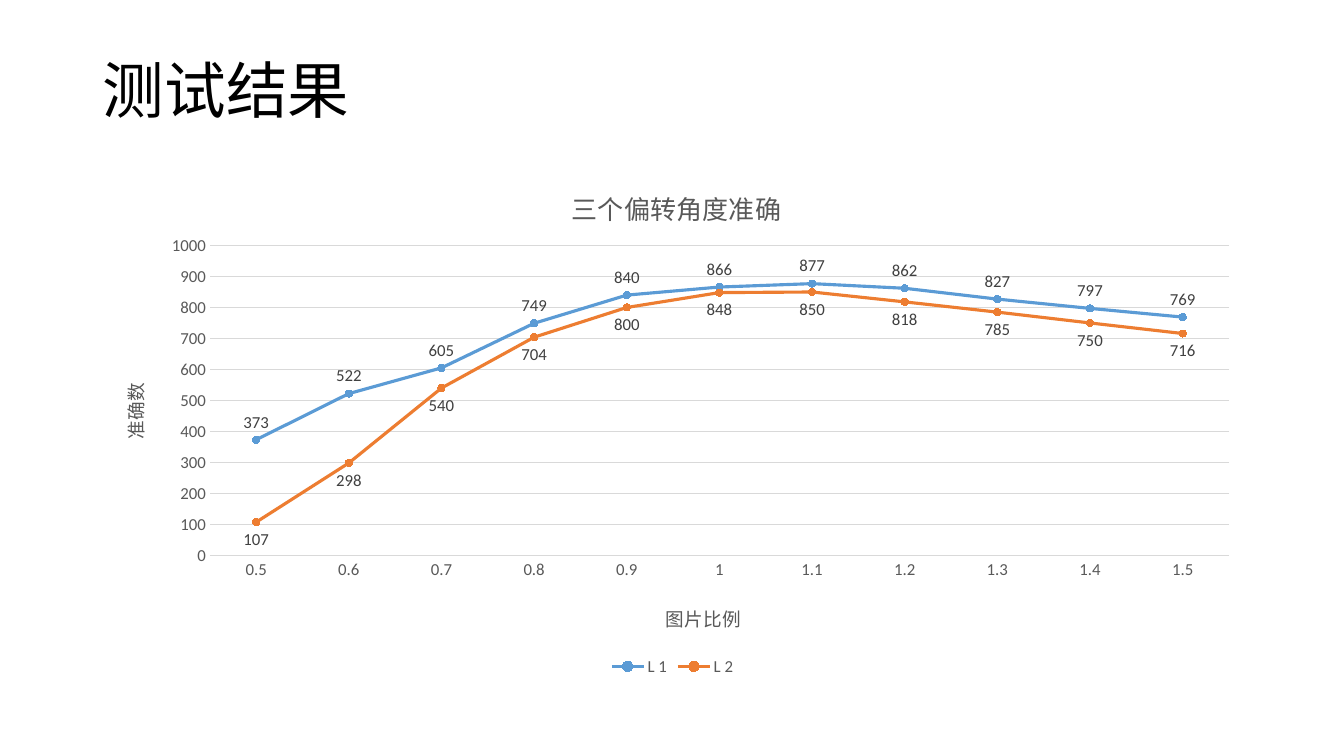
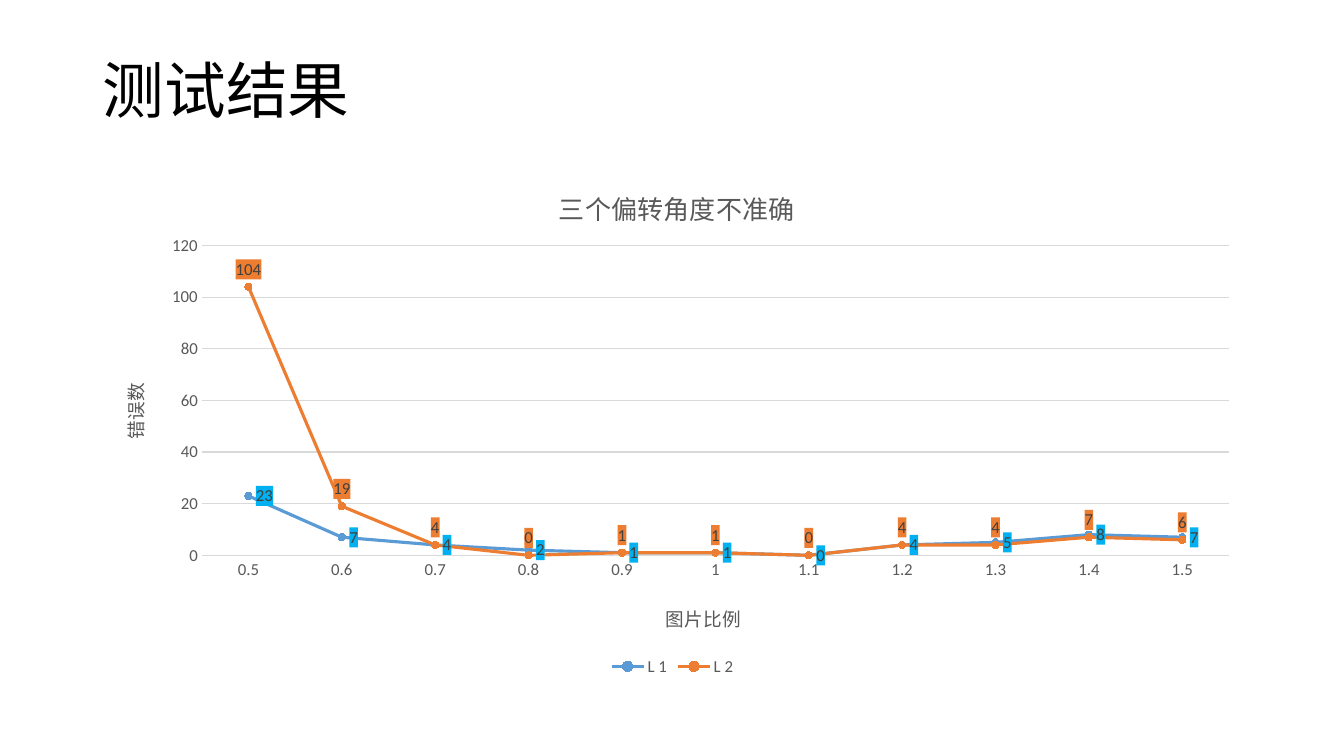
from lxml.etree import SubElement
from pptx import Presentation
from pptx.chart.data import CategoryChartData
from pptx.dml.color import RGBColor
from pptx.enum.chart import (XL_CHART_TYPE, XL_LABEL_POSITION, XL_LEGEND_POSITION,
                             XL_MARKER_STYLE, XL_TICK_MARK)
from pptx.enum.text import MSO_ANCHOR, PP_ALIGN
from pptx.oxml import parse_xml
from pptx.oxml.ns import nsdecls, qn
from pptx.util import Inches, Pt

FONT = "Calibri"
BLACK, GREY, DARK, GRID = "000000", "595959", "404040", "D9D9D9"
BLUE, ORANGE, CYAN = "5B9BD5", "ED7D31", "00B0F0"
TITLE_BOX = (0.92, 0.4, 11.5, 1.05)
CHART_BOX = (0.92, 1.54, 11.5, 5.21)
RATIOS = [f"{n / 10:g}" for n in range(5, 16)]


def rgb(color):
    """Turn a hex string into a colour."""
    return RGBColor.from_string(color)


def style_font(font, size, color):
    """Set typeface, size and colour."""
    font.name, font.size, font.bold = FONT, Pt(size), False
    font.color.rgb = rgb(color)


def set_layout(parent, **places):
    """Place a chart part by fractions of the chart area."""
    layout = parent.find(qn("c:layout"))
    if layout is None:
        layout = parse_xml(f"<c:layout {nsdecls('c')}/>")
        parent.insert(0, layout)
    manual = SubElement(layout, qn("c:manualLayout"))
    if "w" in places:
        SubElement(manual, qn("c:layoutTarget"), val="inner")
    for key in ("x", "y"):
        SubElement(manual, qn(f"c:{key}Mode"), val="edge")
    for key, value in places.items():
        SubElement(manual, qn(f"c:{key}"), val=str(value))


def add_title(s, text, box):
    """Fill the title placeholder."""
    title = s.shapes.title
    title.left, title.top, title.width, title.height = map(Inches, box)
    tf = title.text_frame
    tf.text, tf.vertical_anchor = text, MSO_ANCHOR.MIDDLE
    p = tf.paragraphs[0]
    p.alignment, p.line_spacing = PP_ALIGN.LEFT, 0.9
    style_font(p.font, 44, BLACK)


def set_chart_text(owner, holder, text, size, x, y):
    """Write and place a chart or axis title."""
    tf = holder.text_frame
    tf.text = text
    style_font(tf.paragraphs[0].runs[0].font, size, GREY)
    set_layout(owner.find(qn("c:title")), x=x, y=y)
    return tf


def style_axis(axis):
    """Give an axis its text style and no ticks."""
    style_font(axis.tick_labels.font, 12, GREY)
    axis.major_tick_mark = axis.minor_tick_mark = XL_TICK_MARK.NONE


def style_series(series, color, position, label_fill):
    """Format the line, markers and value labels of a series."""
    series.smooth = False
    series.format.line.color.rgb = rgb(color)
    series.format.line.width = Pt(2.25)
    marker = series.marker
    marker.style, marker.size = XL_MARKER_STYLE.CIRCLE, 5
    marker.format.fill.solid()
    marker.format.fill.fore_color.rgb = rgb(color)
    marker.format.line.color.rgb = rgb(color)
    labels = series.data_labels
    labels.show_value, labels.position = True, position
    style_font(labels.font, 12, DARK)
    if label_fill:
        text_style = labels._element.find(qn("c:txPr"))
        text_style.addprevious(parse_xml(
            f"<c:spPr {nsdecls('c', 'a')}><a:solidFill>"
            f'<a:srgbClr val="{label_fill}"/></a:solidFill></c:spPr>'))


def add_line_chart(s, box, title, title_x, value_title, plot_x, top, step, lines):
    """Draw a two-line chart; lines hold name, values, colour, label place and fill."""
    data = CategoryChartData()
    data.categories = RATIOS
    for name, values, *_ in lines:
        data.add_series(name, values)
    chart = s.shapes.add_chart(XL_CHART_TYPE.LINE_MARKERS, *map(Inches, box), data).chart
    style_font(chart.font, 10, BLACK)
    chart.plots[0].vary_by_categories = False
    chart.has_title = chart.has_legend = True
    root = chart._chartSpace.find(qn("c:chart"))
    set_chart_text(root, chart.chart_title, title, 18.6, title_x, 0.05)
    set_layout(root.find(qn("c:plotArea")), x=plot_x, y=0.172, w=0.98 - plot_x, h=0.59)

    legend = chart.legend
    legend.position, legend.include_in_layout = XL_LEGEND_POSITION.BOTTOM, False
    style_font(legend.font, 12, GREY)

    cat, val = chart.category_axis, chart.value_axis
    style_axis(cat)
    cat.format.line.color.rgb = rgb(GRID)
    cat.format.line.width = Pt(0.75)
    set_chart_text(cat._element, cat.axis_title, "图片比例", 13.3, 0.491, 0.845)

    style_axis(val)
    val.minimum_scale, val.maximum_scale, val.major_unit = 0, top, step
    val.format.line.fill.background()
    val.major_gridlines.format.line.color.rgb = rgb(GRID)
    val.major_gridlines.format.line.width = Pt(0.75)
    tf = set_chart_text(val._element, val.axis_title, value_title, 13.3, 0.02, 0.427)
    body = tf._txBody.find(qn("a:bodyPr"))
    body.set("rot", "-5400000")
    body.set("vert", "horz")

    for series, (_, _, *look) in zip(chart.plots[0].series, lines):
        style_series(series, *look)


def add_result_slide(prs, **chart):
    """Add one slide of test results."""
    s = prs.slides.add_slide(prs.slide_layouts[5])
    add_title(s, "测试结果", TITLE_BOX)
    add_line_chart(s, CHART_BOX, **chart)


prs = Presentation()
prs.slide_width, prs.slide_height = Inches(13.33), Inches(7.5)
ABOVE, BELOW, RIGHT = (XL_LABEL_POSITION.ABOVE, XL_LABEL_POSITION.BELOW,
                       XL_LABEL_POSITION.RIGHT)
add_result_slide(
    prs, title="三个偏转角度准确", title_x=0.409, value_title="准确数",
    plot_x=0.101, top=1000, step=100, lines=[
        ("L 1", [373, 522, 605, 749, 840, 866, 877, 862, 827, 797, 769], BLUE, ABOVE, None),
        ("L 2", [107, 298, 540, 704, 800, 848, 850, 818, 785, 750, 716], ORANGE, BELOW, None),
    ])
add_result_slide(
    prs, title="三个偏转角度不准确", title_x=0.398, value_title="错误数",
    plot_x=0.094, top=120, step=20, lines=[
        ("L 1", [23, 7, 4, 2, 1, 1, 0, 4, 5, 8, 7], BLUE, RIGHT, CYAN),
        ("L 2", [104, 19, 4, 0, 1, 1, 0, 4, 4, 7, 6], ORANGE, ABOVE, ORANGE),
    ])
prs.save("out.pptx")
